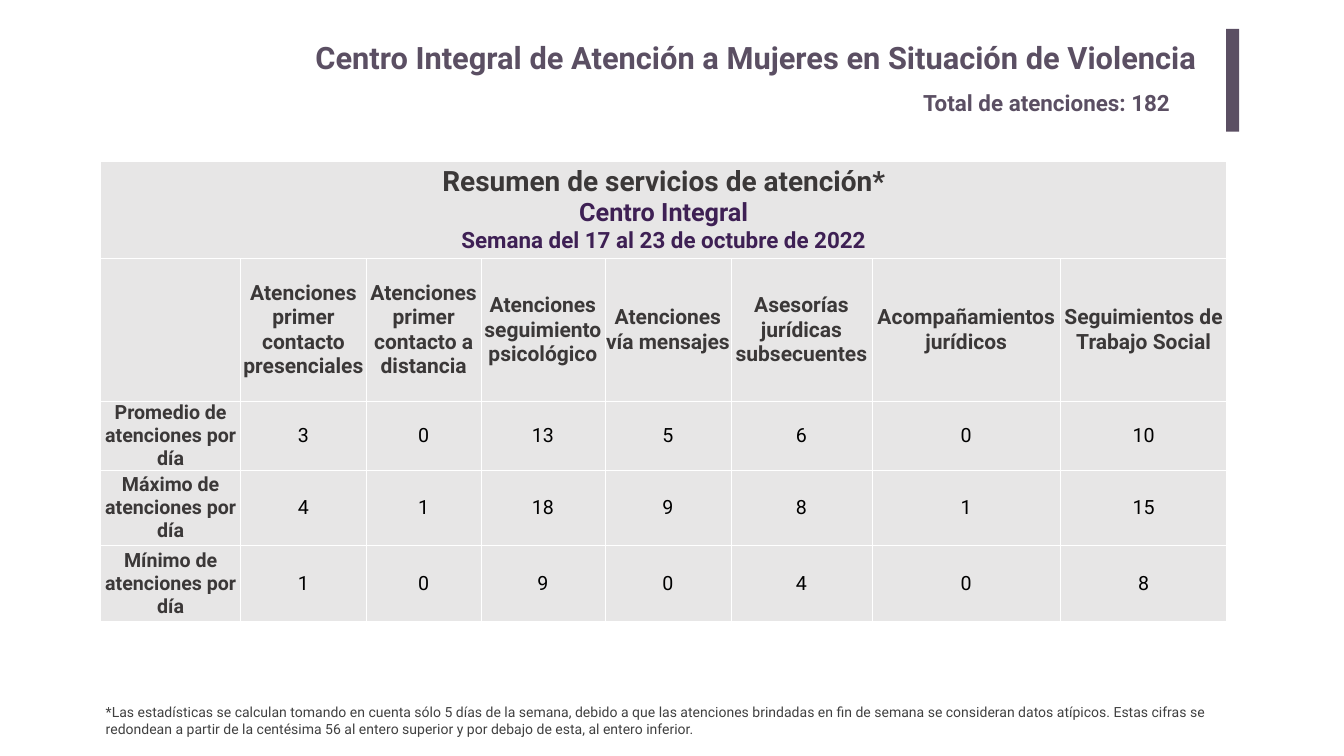
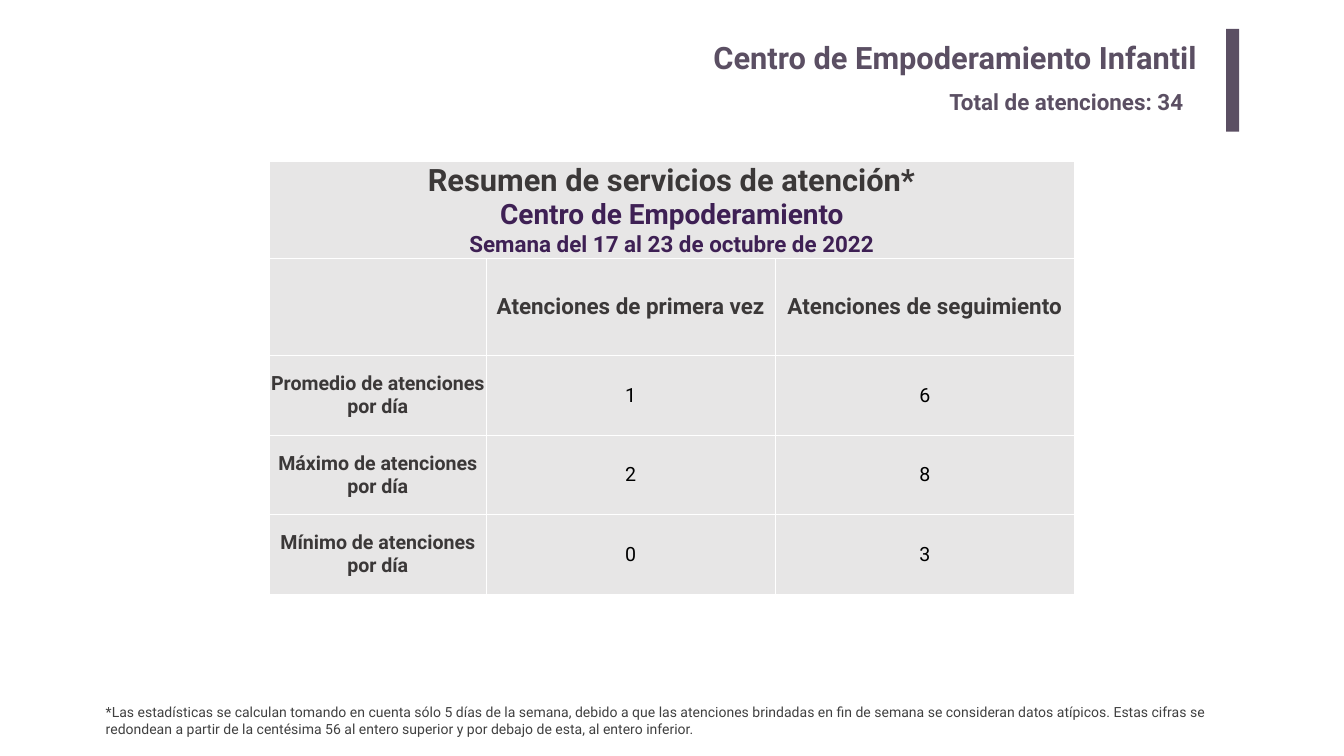
from lxml import etree
from pptx import Presentation
from pptx.dml.color import RGBColor
from pptx.enum import shapes, text
from pptx.oxml import ns
from pptx.util import Cm, Pt

# Shared style
FONT = "Roboto"
PLUM, PURPLE, DARK, BLACK = "5B4F63", "3E2054", "3B3838", "000000"
NOTE_GRAY, CELL_GRAY, WHITE = "404040", "E7E6E6", "FFFFFF"
CENTER, LEFT, RIGHT = text.PP_ALIGN.CENTER, text.PP_ALIGN.LEFT, text.PP_ALIGN.RIGHT

# Shared content
HEADING = "Resumen de servicios de atención*"
WEEK = "Semana del 17 al 23 de octubre de 2022"
MEASURES = [f"{m} de atenciones por día" for m in ("Promedio", "Máximo", "Mínimo")]
FOOTNOTE = (
    "*Las estadísticas se calculan tomando en cuenta sólo 5 días de la semana, debido a que "
    "las atenciones brindadas en fin de semana se consideran datos atípicos. Estas cifras se "
    "redondean a partir de la centésima 56 al entero superior y por debajo de esta, al entero "
    "inferior."
)

# One entry per centre; lengths in cm, heading sizes in points
CENTRES = [
    dict(
        title="Centro Integral de Atención a Mujeres en Situación de Violencia",
        total=182, total_box=(46.28, 4.34, 15.04, 1.63),
        name="Centro Integral", heading_sizes=(40, 36, 32), service_size=30,
        services=[
            "Atenciones primer contacto presenciales",
            "Atenciones primer contacto a distancia",
            "Atenciones seguimiento psicológico",
            "Atenciones vía mensajes",
            "Asesorías jurídicas subsecuentes",
            "Acompañamientos jurídicos",
            "Seguimientos de Trabajo Social",
        ],
        values=[
            (3, 0, 13, 5, 6, 0, 10),
            (4, 1, 18, 9, 8, 1, 15),
            (1, 0, 9, 0, 4, 0, 8),
        ],
        corner=(5.08, 8.15),
        widths=(7.04, 6.35, 5.77, 6.25, 6.35, 7.11, 9.5, 8.38),
        heights=(4.88, 7.19, 3.02, 3.81, 3.81),
    ),
    dict(
        title="Centro de Empoderamiento Infantil",
        total=34, total_box=(47.6, 4.29, 13.41, 1.63),
        name="Centro de Empoderamiento", heading_sizes=(44, 40, 32), service_size=32,
        services=["Atenciones de primera vez", "Atenciones de seguimiento"],
        values=[(1, 6), (2, 8), (0, 3)],
        corner=(13.59, 8.13),
        widths=(10.9, 14.6, 15.04),
        heights=(4.88, 4.88, 4.01, 4.01, 4.01),
    ),
]


def rgb(color):
    return RGBColor.from_string(color)


def write(p, words, size, color, bold=True, align=CENTER):
    p.text = str(words)
    p.alignment = align
    p.font.name, p.font.size, p.font.bold = FONT, Pt(size), bold
    p.font.color.rgb = rgb(color)


def add_text(s, box, words, size, color, bold=True, align=LEFT, grow=True, inset=(0.25, 0.13)):
    tf = s.shapes.add_textbox(*map(Cm, box)).text_frame
    tf.word_wrap = True
    if grow:
        tf.auto_size = text.MSO_AUTO_SIZE.SHAPE_TO_FIT_TEXT
    tf.margin_left = tf.margin_right = Cm(inset[0])
    tf.margin_top = tf.margin_bottom = Cm(inset[1])
    write(tf.paragraphs[0], words, size, color, bold, align)


def style_cell(cell):
    tc_pr = cell._tc.get_or_add_tcPr()
    for side in "LRTB":
        line = etree.SubElement(tc_pr, ns.qn(f"a:ln{side}"), w=str(Pt(1)))
        fill = etree.SubElement(line, ns.qn("a:solidFill"))
        etree.SubElement(fill, ns.qn("a:srgbClr"), val=WHITE)
    cell.fill.solid()
    cell.fill.fore_color.rgb = rgb(CELL_GRAY)
    cell.vertical_anchor = text.MSO_ANCHOR.MIDDLE
    cell.margin_left = cell.margin_right = cell.margin_top = cell.margin_bottom = 0


def add_summary(s, centre):
    widths, heights = centre["widths"], centre["heights"]
    box = (*centre["corner"], sum(widths), sum(heights))
    table = s.shapes.add_table(len(heights), len(widths), *map(Cm, box)).table
    table.first_row = table.horz_banding = False
    for column, width in zip(table.columns, widths):
        column.width = Cm(width)
    for row, height in zip(table.rows, heights):
        row.height = Cm(height)
    for cell in table.iter_cells():
        style_cell(cell)

    # Heading across all columns
    heading = table.cell(0, 0)
    heading.merge(table.cell(0, len(widths) - 1))
    tf = heading.text_frame
    lines = zip((HEADING, centre["name"], WEEK), centre["heading_sizes"], (DARK, PURPLE, PURPLE))
    for i, (words, size, color) in enumerate(lines):
        write(tf.add_paragraph() if i else tf.paragraphs[0], words, size, color)

    # Services, then one row per measure
    def fill_cell(row, col, *style):
        write(table.cell(row, col).text_frame.paragraphs[0], *style)

    for col, service in enumerate(centre["services"], 1):
        fill_cell(1, col, service, centre["service_size"], DARK)
    for row, (measure, values) in enumerate(zip(MEASURES, centre["values"]), 2):
        fill_cell(row, 0, measure, 28, DARK)
        for col, value in enumerate(values, 1):
            fill_cell(row, col, value, 28, BLACK, False)


def add_accent_bar(s):
    bar = s.shapes.add_shape(shapes.MSO_SHAPE.RECTANGLE, *map(Cm, (61.8, 1.45, 0.66, 5.18)))
    bar.shadow.inherit = False
    bar.fill.solid()
    bar.fill.fore_color.rgb = rgb(PLUM)
    bar.line.fill.background()


def main():
    prs = Presentation()
    prs.slide_width, prs.slide_height = Cm(67.74), Cm(38.1)
    for centre in CENTRES:
        s = prs.slides.add_slide(prs.slide_layouts[6])
        add_summary(s, centre)
        add_text(s, (9.3, 1.7, 51.56, 2.59), centre["title"], 44, PLUM,
                 align=RIGHT, grow=False, inset=(0.51, 0.25))
        add_accent_bar(s)
        add_text(s, centre["total_box"], f"Total de atenciones: {centre['total']}", 32, PLUM)
        add_text(s, (5.08, 35.31, 56.72, 1.96), FOOTNOTE, 20, NOTE_GRAY, bold=False)
    prs.save("out.pptx")


if __name__ == "__main__":
    main()
